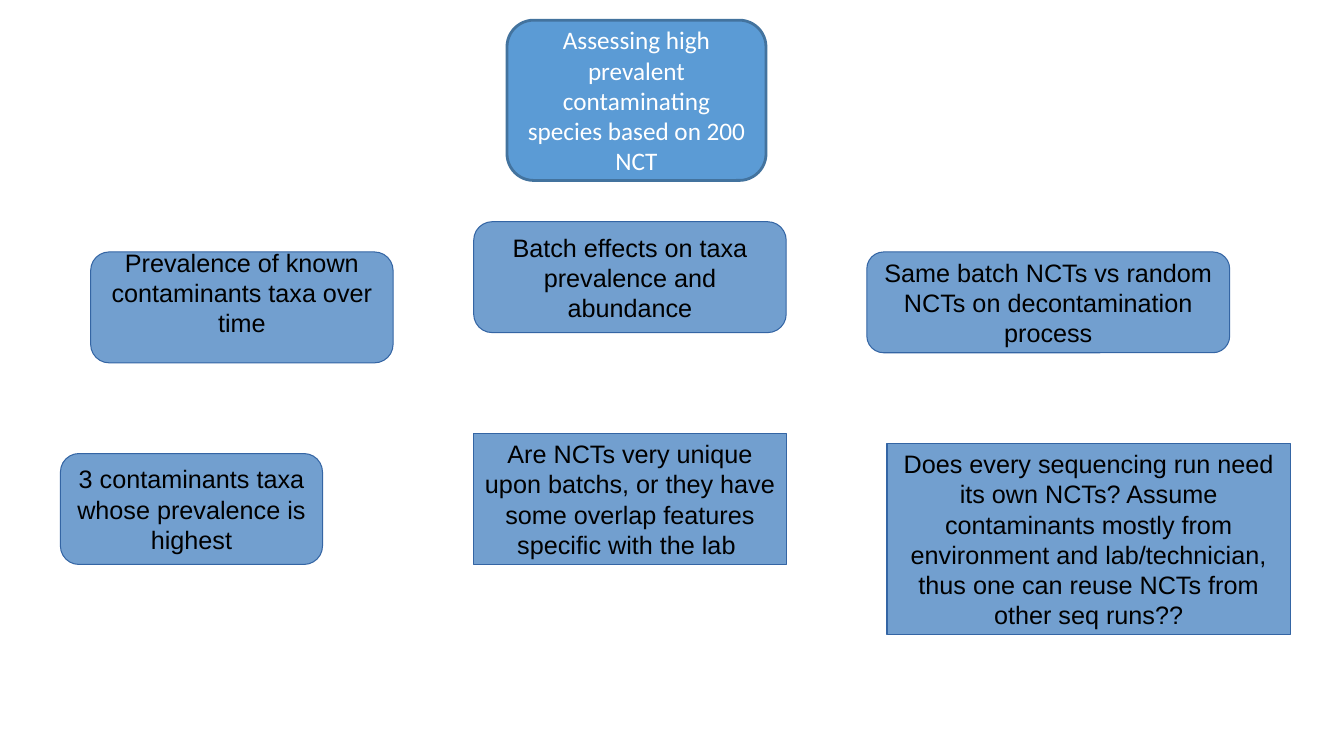
from dataclasses import dataclass

from pptx import Presentation
from pptx import util as u
from pptx.dml.color import RGBColor
from pptx.enum import shapes, text

BLACK = RGBColor(0x00, 0x00, 0x00)
WHITE = RGBColor(0xFF, 0xFF, 0xFF)
TITLE_FILL = RGBColor(0x5B, 0x9B, 0xD5)
TITLE_LINE = RGBColor(0x43, 0x73, 0x9E)
TOPIC_FILL = RGBColor(0x72, 0x9F, 0xCF)
TOPIC_LINE = RGBColor(0x34, 0x65, 0xA4)

ROUNDED = shapes.MSO_SHAPE.ROUNDED_RECTANGLE
SQUARE = shapes.MSO_SHAPE.RECTANGLE


@dataclass(frozen=True)
class Style:
    fill: RGBColor
    line: RGBColor
    line_width: float
    font: str
    color: RGBColor


@dataclass(frozen=True)
class Box:
    words: str
    left: float
    top: float
    width: float
    height: float
    outline: shapes.MSO_SHAPE = ROUNDED
    inset_top: float = 3.6
    inset_bottom: float = 3.6


TITLE_STYLE = Style(TITLE_FILL, TITLE_LINE, 2, "Calibri", WHITE)
TOPIC_STYLE = Style(TOPIC_FILL, TOPIC_LINE, 0.75, "Arial", BLACK)

TITLE = Box("Assessing high prevalent contaminating species based on 200 NCT",
            362.16, 14.4, 185.04, 114.48)

TOPICS = [
    # Research topics; the first one has its text set above the middle
    Box("Prevalence of known contaminants taxa over time",
        64.8, 180, 216, 79.2, inset_top=0, inset_bottom=21.6),
    Box("Batch effects on taxa prevalence and abundance",
        338.4, 158.4, 223.2, 79.2),
    Box("Same batch NCTs vs random NCTs on decontamination process",
        619.2, 180, 259.2, 72),
    # Details below each topic
    Box("3 contaminants taxa whose prevalence is highest",
        43.2, 324, 187.2, 79.2),
    Box("Are NCTs very unique upon batchs, or they have some overlap "
        "features specific with the lab ",
        338.4, 309.6, 223.2, 93.6, SQUARE),
    Box("Does every sequencing run need its own NCTs? Assume contaminants "
        "mostly from environment and lab/technician, thus one can reuse "
        "NCTs from other seq runs??",
        633.6, 316.8, 288, 136.8, SQUARE),
]


def draw_box(page, box: Box, style: Style) -> None:
    shape = page.shapes.add_shape(box.outline, u.Pt(box.left), u.Pt(box.top),
                                  u.Pt(box.width), u.Pt(box.height))
    shape.shadow.inherit = False
    shape.fill.solid()
    shape.fill.fore_color.rgb = style.fill
    shape.line.color.rgb = style.line
    shape.line.width = u.Pt(style.line_width)

    # Centred text
    frame = shape.text_frame
    frame.text = box.words
    frame.word_wrap = True
    frame.vertical_anchor = text.MSO_ANCHOR.MIDDLE
    frame.margin_left = frame.margin_right = u.Pt(7.2)
    frame.margin_top = u.Pt(box.inset_top)
    frame.margin_bottom = u.Pt(box.inset_bottom)
    para = frame.paragraphs[0]
    para.alignment = text.PP_ALIGN.CENTER
    for span in para.runs:
        span.font.name = style.font
        span.font.size = u.Pt(18)
        span.font.color.rgb = style.color


def main() -> None:
    deck = Presentation()
    deck.slide_width, deck.slide_height = u.Pt(960), u.Pt(540)
    page = deck.slides.add_slide(deck.slide_layouts[6])

    draw_box(page, TITLE, TITLE_STYLE)
    for topic in TOPICS:
        draw_box(page, topic, TOPIC_STYLE)

    deck.save("out.pptx")


if __name__ == "__main__":
    main()
